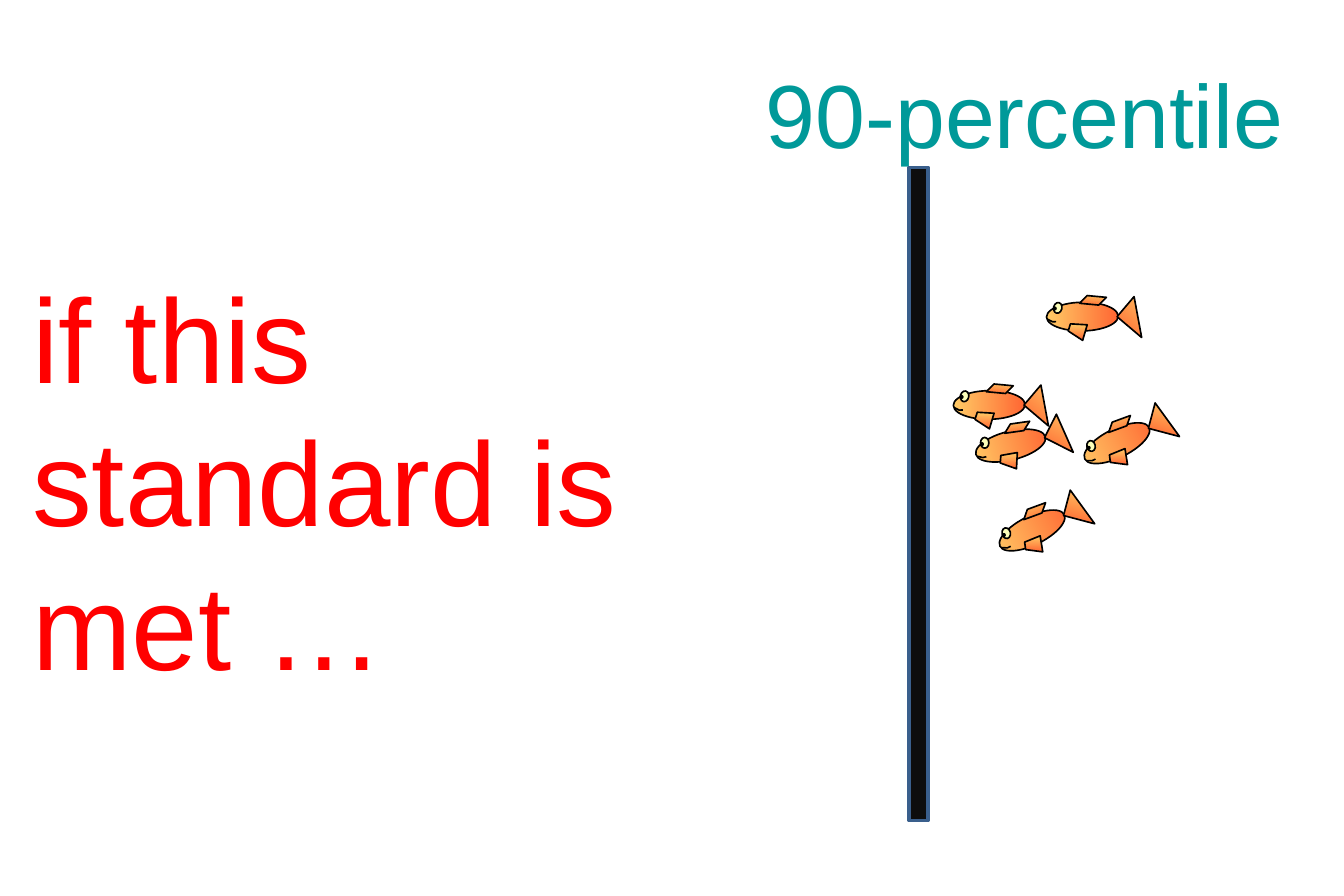
import math
from dataclasses import dataclass

import pptx
import pptx.dml.color
import pptx.enum.shapes
import pptx.enum.text
import pptx.util

Inches = pptx.util.Inches
Pt = pptx.util.Pt
SHAPE = pptx.enum.shapes.MSO_SHAPE


@dataclass(frozen=True)
class Theme:
    font: str = "Arial"
    heading: str = "009999"
    message: str = "FF0000"
    bar: str = "0D0D0D"
    bar_edge: str = "3A5F8C"
    outline: str = "000000"
    scales: tuple = ("FFCC66", "FF6633")
    eye: str = "FCFEB9"
    heading_size: float = 54
    message_size: float = 72
    leading: float = 1.2


THEME = Theme()

# Fish parts, measured from the middle of a level body facing left.
# Shape, centre, size, extra turn, fill, gradient angle
BODY = (SHAPE.OVAL, (0, 0), (0.6, 0.24), 0, THEME.scales, 0)
TAIL = (SHAPE.RIGHT_TRIANGLE, (0.465, 0.01), (0.27, 0.22), 41, THEME.scales, 270)
BACK_FIN = (SHAPE.PARALLELOGRAM, (0.09, -0.135), (0.22, 0.07), 6, THEME.scales, 270)
EYE = (SHAPE.OVAL, (-0.205, -0.075), (0.07, 0.09), 13.8, THEME.eye, 0)
PUPIL = (SHAPE.OVAL, (-0.23, -0.07), (0.02, 0.02), 0, THEME.outline, 0)
BELLY_FIN = [(0.04, 0.07), (-0.1, 0.06), (-0.12, 0.12), (0, 0.2)]
MOUTH = [(-0.29, 0.02), (-0.27, 0.03), (-0.25, 0.04), (-0.22, 0.04)]

# Centre x, centre y, tilt in degrees
SCHOOL = [
    (9.35, 3.71, -26.2),
    (9.06, 2.65, -0.7),
    (8.64, 4.44, -26.2),
    (8.28, 3.39, -0.7),
    (8.46, 3.73, -14.1),
]


def rgb(value):
    return pptx.dml.color.RGBColor.from_string(value)


def set_attributes(target, values):
    for name, value in values.items():
        setattr(target, name, value)


def paint(sp, fill, line, width, angle=0):
    """Fill with one colour, a pair of gradient colours, or nothing."""
    sp.shadow.inherit = False
    if fill is None:
        sp.fill.background()
    elif isinstance(fill, tuple):
        sp.fill.gradient()
        sp.fill.gradient_angle = angle
        for stop, colour in zip(sp.fill.gradient_stops, fill):
            stop.color.rgb = rgb(colour)
    else:
        sp.fill.solid()
        sp.fill.fore_color.rgb = rgb(fill)
    sp.line.color.rgb = rgb(line)
    sp.line.width = Pt(width)


def write_text(sp, box, text, size, colour):
    left, top, width, height = map(Inches, box)
    set_attributes(sp, {"left": left, "top": top, "width": width, "height": height})
    tf = sp.text_frame
    set_attributes(tf, {
        "word_wrap": True,
        "auto_size": pptx.enum.text.MSO_AUTO_SIZE.NONE,
        "vertical_anchor": pptx.enum.text.MSO_ANCHOR.TOP,
        "margin_left": 0, "margin_right": 0,
        "margin_top": Inches(0.05), "margin_bottom": 0,
    })
    p = tf.paragraphs[0]
    set_attributes(p, {
        "alignment": pptx.enum.text.PP_ALIGN.LEFT,
        "line_spacing": Pt(size * THEME.leading),
        "space_before": Pt(0),
    })
    r = p.add_run()
    r.text = text
    set_attributes(r.font, {"name": THEME.font, "size": Pt(size)})
    r.font.color.rgb = rgb(colour)


def place(point, x, y, tilt):
    """Turn a point of the level fish by the tilt and move it to x, y."""
    turn = math.radians(tilt)
    dx, dy = point
    return (x + dx * math.cos(turn) - dy * math.sin(turn),
            y + dx * math.sin(turn) + dy * math.cos(turn))


def add_part(group, part, pose):
    kind, centre, (width, height), turn, fill, angle = part
    cx, cy = place(centre, *pose)
    sp = group.shapes.add_shape(kind, Inches(cx - width / 2), Inches(cy - height / 2),
                                Inches(width), Inches(height))
    sp.rotation = (pose[2] + turn) % 360
    if kind == SHAPE.PARALLELOGRAM:
        sp.adjustments[0] = 0.83
    paint(sp, fill, THEME.outline, 1, angle)


def add_outline(group, points, pose, fill, close):
    start, *rest = [tuple(map(Inches, place(point, *pose))) for point in points]
    builder = group.shapes.build_freeform(*start)
    builder.add_line_segments(rest, close=close)
    paint(builder.convert_to_shape(), fill, THEME.outline, 1, 270)


def add_fish(s, pose):
    group = s.shapes.add_group_shape()
    add_part(group, BODY, pose)
    add_part(group, TAIL, pose)
    add_outline(group, BELLY_FIN, pose, THEME.scales, True)
    add_part(group, BACK_FIN, pose)
    add_part(group, EYE, pose)
    add_outline(group, MOUTH, pose, None, False)
    add_part(group, PUPIL, pose)


def add_bar(s, box):
    sp = s.shapes.add_shape(SHAPE.RECTANGLE, *map(Inches, box))
    paint(sp, THEME.bar, THEME.bar_edge, 2)


def main():
    prs = pptx.Presentation()
    set_attributes(prs, {"slide_width": Inches(11.25), "slide_height": Inches(7.5)})
    s = prs.slides.add_slide(prs.slide_layouts.get_by_name("Title Only"))
    write_text(s.shapes.title, (6.41, 0.44, 4.54, 0.91), "90-percentile",
               THEME.heading_size, THEME.heading)
    write_text(s.shapes.add_textbox(0, 0, 0, 0), (0.27, 2.16, 6.38, 3.64),
               "if this standard is met …", THEME.message_size, THEME.message)
    add_bar(s, (7.61, 1.4, 0.16, 5.47))
    for pose in SCHOOL:
        add_fish(s, pose)
    prs.save("out.pptx")


if __name__ == "__main__":
    main()
